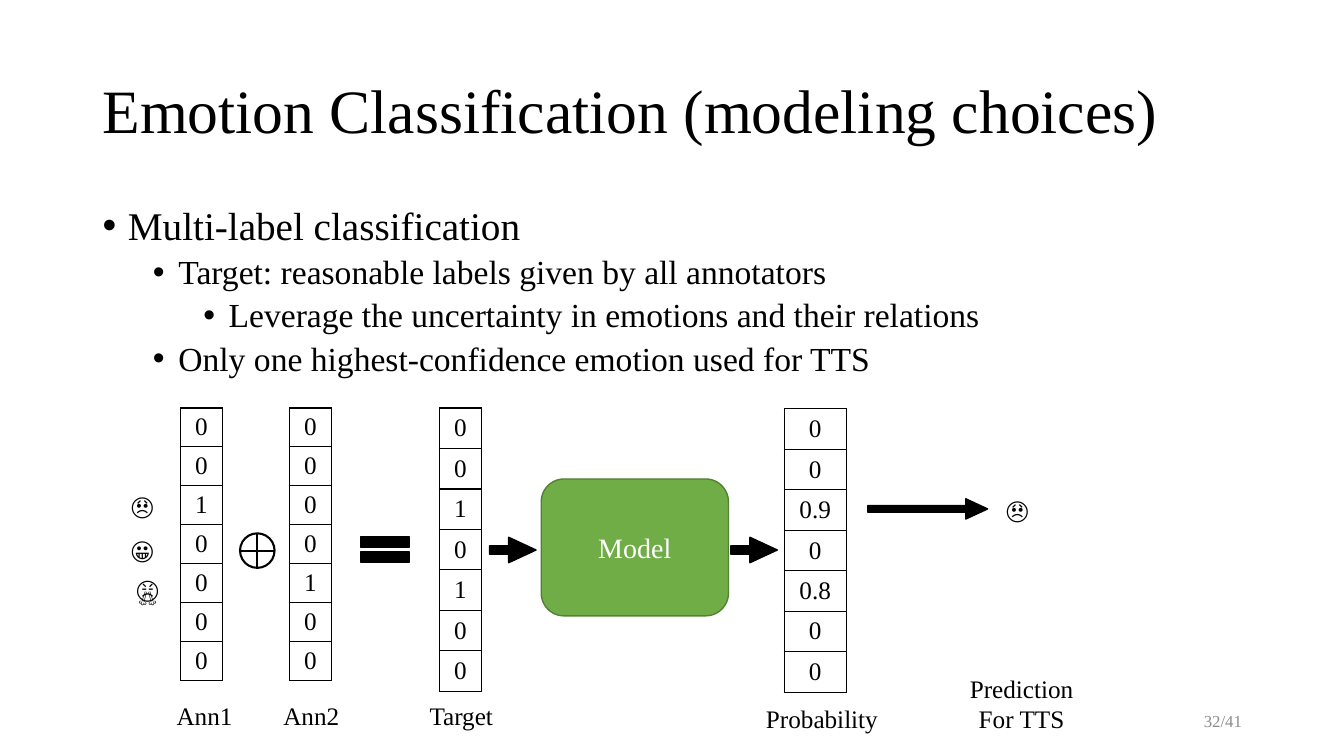
"""Build the slide on multi-label emotion classification."""
from dataclasses import dataclass

from lxml import etree
from pptx import Presentation
from pptx.dml.color import RGBColor
from pptx.enum import shapes, text
from pptx.oxml import ns
from pptx.util import Cm, Pt


@dataclass(frozen=True)
class Theme:
    """Colours, font and type sizes of the slide."""

    font: str = "Times New Roman"
    ink: str = "000000"
    paper: str = "FFFFFF"
    model: str = "70AD47"
    model_line: str = "538035"
    muted: str = "8C8C8C"
    title: int = 44
    topic: int = 28
    detail: int = 24
    box: int = 20
    label: int = 18
    footer: int = 12


THEME = Theme()
ALIGN = text.PP_ALIGN
SHAPE = shapes.MSO_SHAPE
POINTS = [
    (0, "Multi-label classification"),
    (1, "Target: reasonable labels given by all annotators"),
    (2, "Leverage the uncertainty in emotions and their relations"),
    (1, "Only one highest-confidence emotion used for TTS"),
]
VECTORS = [
    (4.54, 10.28, 1.07, 0.98, "0 0 1 0 0 0 0"),
    (7.29, 10.28, 1.07, 0.98, "0 0 0 0 1 0 0"),
    (11.07, 10.28, 1.07, 1.02, "0 0 1 0 1 0 0"),
    (19.76, 10.3, 1.57, 1.02, "0 0 0.9 0 0.8 0 0"),
]
LABELS = [
    ("Ann1", 3.97, 17.53, 2.37, ALIGN.CENTER),
    ("Ann2", 6.66, 17.53, 2.37, ALIGN.CENTER),
    ("Target", 10.32, 17.53, 2.61, ALIGN.CENTER),
    ("Probability", 18.83, 17.6, 3.77, ALIGN.CENTER),
    ("Prediction\nFor TTS", 23.86, 16.84, 3.77, ALIGN.CENTER),
    ("😞", 3.05, 12.24, 1.24, ALIGN.LEFT),
    ("😀", 3.05, 13.34, 1.24, ALIGN.LEFT),
    ("😤", 3.1, 14.38, 1.24, ALIGN.CENTER),
    ("😞", 25.1, 12.32, 1.24, ALIGN.LEFT),
]
ARROWS = [
    (12.34, 13.54, 1.17, 0.64),
    (18.42, 13.54, 1.17, 0.64),
    (21.87, 12.57, 3.02, 0.51),
]


def style(para, size, color=THEME.ink, align=ALIGN.LEFT):
    """Set the font and alignment of a paragraph."""
    para.alignment = align
    para.font.name = THEME.font
    para.font.size = Pt(size)
    para.font.color.rgb = RGBColor.from_string(color)


def place(holder, left, top, width, height):
    """Move a placeholder and keep its text at full size."""
    holder.left, holder.top = Cm(left), Cm(top)
    holder.width, holder.height = Cm(width), Cm(height)
    holder.text_frame.auto_size = text.MSO_AUTO_SIZE.NONE
    return holder.text_frame


def add_title(page, words):
    """Fill the title placeholder."""
    frame = place(page.shapes.title, 2.33, 1.01, 29.21, 3.68)
    frame.text = words
    frame.vertical_anchor = text.MSO_ANCHOR.MIDDLE
    frame.paragraphs[0].line_spacing = 0.9
    style(frame.paragraphs[0], THEME.title)


def add_points(page, points):
    """Fill the body placeholder with a nested list."""
    frame = place(page.placeholders[1], 2.33, 5.07, 29.21, 12.09)
    frame.text = "\n".join(words for _, words in points)
    for para, (level, _) in zip(frame.paragraphs, points):
        para.level = level
        props = para._p.get_or_add_pPr()
        props.set("marL", str(Cm(0.64 + 1.27 * level)))
        props.set("indent", str(-Cm(0.64)))
        etree.SubElement(props, ns.qn("a:buFont"), typeface="Arial")
        etree.SubElement(props, ns.qn("a:buChar"), char="•")
        para.line_spacing = 0.9
        para.space_before = Pt(5 if level else 0)
        style(para, THEME.detail if level else THEME.topic)


def add_border(cell):
    """Draw a thin line on all four sides of a cell."""
    props = cell._tc.get_or_add_tcPr()
    for side in ("lnL", "lnR", "lnT", "lnB"):
        line = etree.SubElement(props, ns.qn(f"a:{side}"), w=str(Pt(1)))
        fill = etree.SubElement(line, ns.qn("a:solidFill"))
        etree.SubElement(fill, ns.qn("a:srgbClr"), val=THEME.ink)


def add_vector(page, left, top, width, row_height, values):
    """Add a one-column table of values."""
    values = values.split()
    height = Cm(row_height * len(values))
    table = page.shapes.add_table(
        len(values), 1, Cm(left), Cm(top), Cm(width), height).table
    table.first_row = table.horz_banding = False
    for row, value in zip(table.rows, values):
        row.height = Cm(row_height)
        cell = row.cells[0]
        cell.text = value
        cell.margin_top = cell.margin_bottom = Cm(0.1)
        cell.vertical_anchor = text.MSO_ANCHOR.MIDDLE
        add_border(cell)
        cell.fill.background()
        style(cell.text_frame.paragraphs[0], THEME.label, align=ALIGN.CENTER)


def add_label(page, words, left, top, width, align, size=THEME.label,
              color=THEME.ink):
    """Add a text box with one paragraph for each line."""
    lines = words.split("\n")
    box = page.shapes.add_textbox(
        Cm(left), Cm(top), Cm(width), Cm(0.24 + 0.78 * len(lines)))
    frame = box.text_frame
    frame.word_wrap = True
    frame.text = words
    for para in frame.paragraphs:
        style(para, size, color, align)
    return box


def add_figure(page, kind, left, top, width, height, fill=THEME.ink,
               line=THEME.ink, weight=1):
    """Add a flat preset shape."""
    figure = page.shapes.add_shape(
        kind, Cm(left), Cm(top), Cm(width), Cm(height))
    figure.shadow.inherit = False
    figure.fill.solid()
    figure.fill.fore_color.rgb = RGBColor.from_string(fill)
    figure.line.color.rgb = RGBColor.from_string(line)
    figure.line.width = Pt(weight)
    return figure


def add_arrow(page, left, top, width, height):
    """Add a block arrow with a slim shaft."""
    arrow = add_figure(page, SHAPE.RIGHT_ARROW, left, top, width, height)
    arrow.adjustments[0] = 0.335
    arrow.adjustments[1] = 1.078


def add_model(page):
    """Add the rounded model box."""
    model = add_figure(page, SHAPE.ROUNDED_RECTANGLE, 13.64, 12.07, 4.72, 3.45,
                       THEME.model, THEME.model_line)
    model.text_frame.text = "Model"
    model.text_frame.vertical_anchor = text.MSO_ANCHOR.MIDDLE
    style(model.text_frame.paragraphs[0], THEME.box, THEME.paper, ALIGN.CENTER)


def main():
    """Build and save the deck."""
    deck = Presentation()
    deck.slide_width, deck.slide_height = Cm(33.87), Cm(19.05)
    page = deck.slides.add_slide(deck.slide_layouts[1])
    add_title(page, "Emotion Classification (modeling choices)")
    add_points(page, POINTS)
    for vector in VECTORS:
        add_vector(page, *vector)
    for label in LABELS:
        add_label(page, *label)
    add_figure(page, SHAPE.FLOWCHART_OR, 6.05, 13.44, 0.87, 0.87,
               fill=THEME.paper, weight=1.5)
    add_figure(page, SHAPE.MATH_EQUAL, 8.86, 13.31, 1.68, 1.07)
    add_model(page)
    for arrow in ARROWS:
        add_arrow(page, *arrow)
    number = add_label(page, "32/41", 23.93, 17.65, 7.62, ALIGN.RIGHT,
                       THEME.footer, THEME.muted)
    number.text_frame.vertical_anchor = text.MSO_ANCHOR.MIDDLE
    deck.save("out.pptx")


if __name__ == "__main__":
    main()
